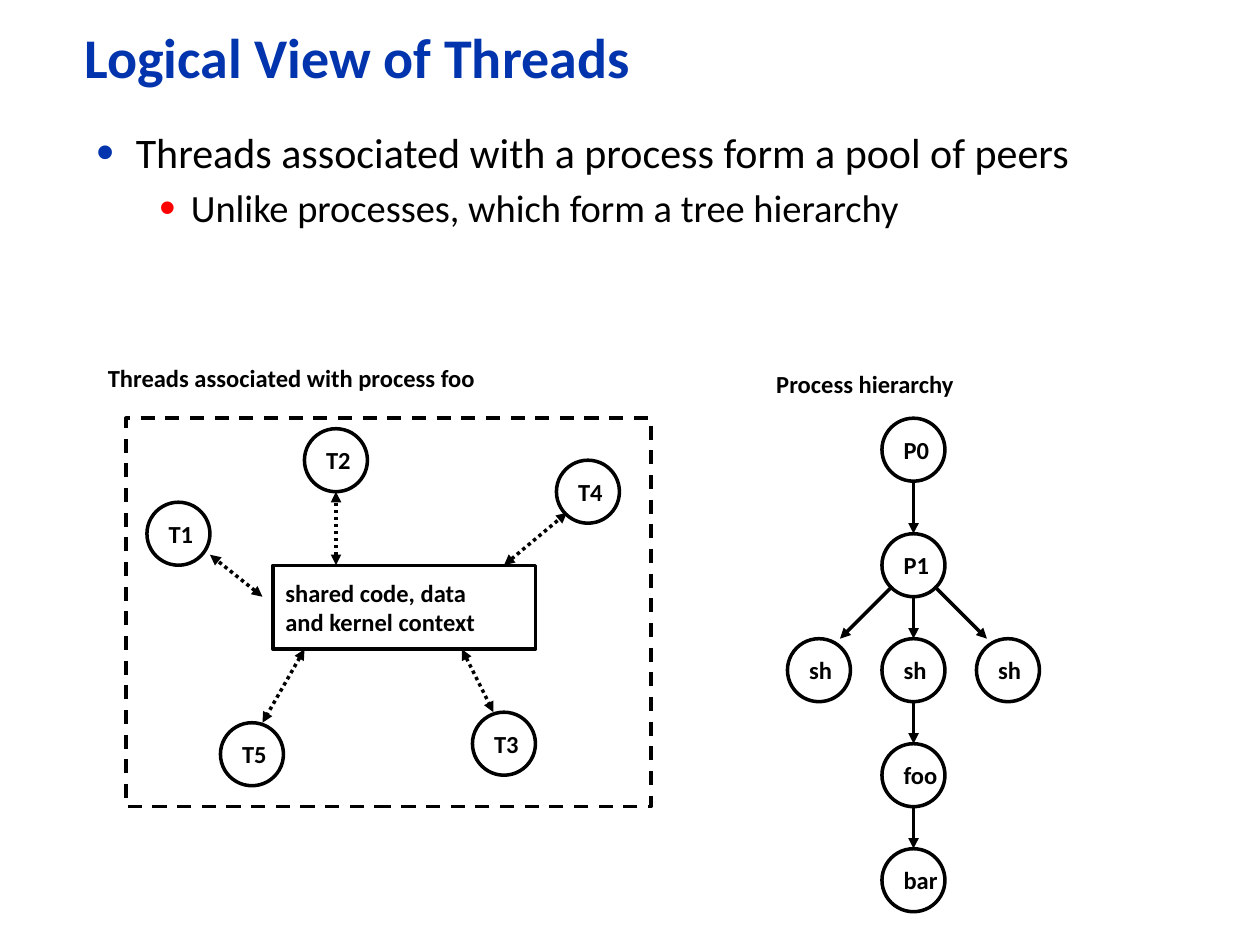
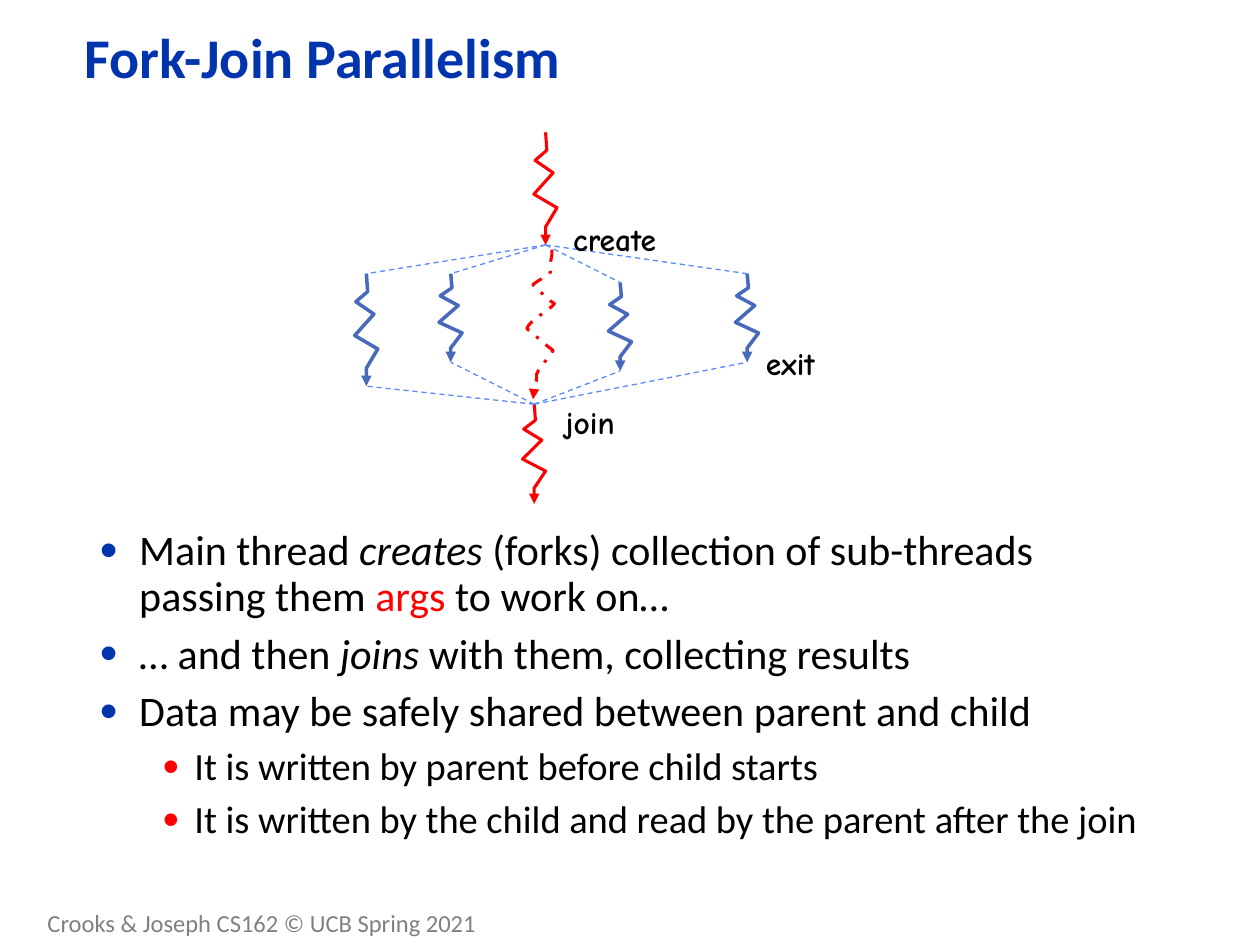
from dataclasses import dataclass
from typing import Any, NamedTuple, Optional

import lxml.etree
import pptx
import pptx.dml.color
import pptx.enum.dml
import pptx.enum.shapes
import pptx.enum.text
import pptx.oxml.ns
import pptx.util

Pt = pptx.util.Pt
qn = pptx.oxml.ns.qn
DASH = pptx.enum.dml.MSO_LINE
SHAPE = pptx.enum.shapes.MSO_SHAPE
MIDDLE = pptx.enum.text.MSO_ANCHOR.MIDDLE
FIT = pptx.enum.text.MSO_AUTO_SIZE

COLORS = {
    "title": "0234AD",
    "text": "000000",
    "accent": "FF0000",
    "paper": "FFFFFF",
    "child": "486ABB",
    "fan": "5B8AFB",
    "footer": "808080",
}


class Box(NamedTuple):
    x: float
    y: float
    w: float
    h: float


class Run(NamedTuple):
    text: str
    italic: bool = False
    color: str = "text"


class Bullet(NamedTuple):
    runs: list[Run]
    level: int = 0


class Level(NamedTuple):
    size: float
    margin: float
    hang: float
    color: str


@dataclass(frozen=True)
class TextStyle:
    size: float
    color: str = "text"
    font: str = "Calibri"
    bold: bool = False


@dataclass(frozen=True)
class Stroke:
    color: str = "text"
    width: float = 2
    dash: Optional[Any] = None
    head: bool = False
    tail: bool = False


class Node(NamedTuple):
    text: str
    x: float
    y: float


class Link(NamedTuple):
    x1: float
    y1: float
    x2: float
    y2: float


class Thread(NamedTuple):
    x: float
    top: float
    height: float


LEVELS = [Level(24, 22.5, 22.5, "title"), Level(22, 54, 18, "accent")]
TITLE = TextStyle(32, "title", bold=True)
LABEL = TextStyle(14, bold=True)
SKETCH = TextStyle(18, font="Comic Neue", bold=True)
FOOTER = TextStyle(14, "footer")

OUTLINE = Stroke()
FRAME = Stroke(dash=DASH.DASH)
CALL = Stroke(tail=True)
SHARE = Stroke(dash=DASH.ROUND_DOT, head=True, tail=True)
PARENT = Stroke("accent", 1.75, tail=True)
WAITING = Stroke("accent", 1.75, DASH.DASH_DOT, tail=True)
CHILD = Stroke("child", tail=True)
FAN = Stroke("fan", 0.75, DASH.DASH)

NODE = 36  # diameter of a circle
# Sideways offset in points, share of the height
ZIGZAG = [(0, 0), (0.7, 0.16), (-6, 0.25), (4.3, 0.36), (-6.7, 0.55),
          (6.5, 0.67), (0, 0.84), (0, 1)]


def rgb(name: str) -> Any:
    return pptx.dml.color.RGBColor.from_string(COLORS[name])


def assign(obj: Any, **values: Any) -> None:
    for name, value in values.items():
        setattr(obj, name, value)


def add_run(p: Any, text: str, style: TextStyle, italic: bool = False) -> None:
    r = p.add_run()
    r.text = text
    assign(r.font, size=Pt(style.size), name=style.font, bold=style.bold, italic=italic)
    r.font.color.rgb = rgb(style.color)


def write_lines(tf: Any, text: str, style: TextStyle) -> None:
    for i, line in enumerate(text.split("\n")):
        p = tf.add_paragraph() if i else tf.paragraphs[0]
        p.alignment = pptx.enum.text.PP_ALIGN.LEFT
        add_run(p, line, style)


def draw_line(sp: Any, stroke: Stroke) -> None:
    sp.line.color.rgb = rgb(stroke.color)
    sp.line.width = Pt(stroke.width)
    if stroke.dash is not None:
        sp.line.dash_style = stroke.dash
    ln = sp.line._get_or_add_ln()
    for tag, wanted in (("a:headEnd", stroke.head), ("a:tailEnd", stroke.tail)):
        if wanted:
            lxml.etree.SubElement(ln, qn(tag)).set("type", "triangle")


def add_link(s: Any, link: Link, stroke: Stroke) -> None:
    kind = pptx.enum.shapes.MSO_CONNECTOR.STRAIGHT
    sp = s.shapes.add_connector(kind, *(Pt(v) for v in link))
    draw_line(sp, stroke)
    lxml.etree.SubElement(sp._element.spPr, qn("a:effectLst"))


def add_outlined(s: Any, kind: Any, box: Box, stroke: Stroke, text: str = "") -> None:
    sp = s.shapes.add_shape(kind, *(Pt(v) for v in box))
    sp.shadow.inherit = False
    draw_line(sp, stroke)
    if not text:
        sp.fill.background()
        return
    sp.fill.solid()
    sp.fill.fore_color.rgb = rgb("paper")
    assign(sp.text_frame, word_wrap=False, vertical_anchor=MIDDLE)
    write_lines(sp.text_frame, text, LABEL)


def add_node(s: Any, node: Node) -> None:
    add_outlined(s, SHAPE.OVAL, Box(node.x, node.y, NODE, NODE), OUTLINE, node.text)


def add_label(s: Any, text: str, box: Box, style: TextStyle) -> None:
    tf = s.shapes.add_textbox(*(Pt(v) for v in box)).text_frame
    assign(tf, word_wrap=False, auto_size=FIT.SHAPE_TO_FIT_TEXT)
    write_lines(tf, text, style)


def add_path(s: Any, points: list[tuple[float, float]], stroke: Stroke) -> Any:
    start, *rest = [(Pt(x), Pt(y)) for x, y in points]
    builder = s.shapes.build_freeform(*start)
    builder.add_line_segments(rest, close=False)
    sp = builder.convert_to_shape()
    sp.shadow.inherit = False
    sp.fill.background()
    draw_line(sp, stroke)
    return sp


def add_zigzag(s: Any, thread: Thread, stroke: Stroke) -> None:
    points = [(thread.x + dx, thread.top + part * thread.height) for dx, part in ZIGZAG]
    add_path(s, points, stroke)


def add_curve(s: Any, points: list[tuple[float, float]], stroke: Stroke) -> None:
    """Draw a start point followed by Bézier triples."""
    sp = add_path(s, points, stroke)
    segments = list(sp._element.iter(qn("a:lnTo")))
    for i in range(0, len(segments), 3):
        curve = lxml.etree.Element(qn("a:cubicBezTo"))
        segments[i].addprevious(curve)
        for segment in segments[i:i + 3]:
            curve.append(segment[0])
            segment.getparent().remove(segment)


def add_bullets(s: Any, box: Box, bullets: list[Bullet]) -> None:
    tf = s.shapes.add_textbox(*(Pt(v) for v in box)).text_frame
    tf.word_wrap = True
    for i, bullet in enumerate(bullets):
        level = LEVELS[bullet.level]
        p = tf.add_paragraph() if i else tf.paragraphs[0]
        assign(p, level=bullet.level, line_spacing=0.9,
               space_before=Pt(0.3 * level.size if i else 0))
        pPr = p._p.get_or_add_pPr()
        pPr.set("marL", str(Pt(level.margin)))
        pPr.set("indent", str(-Pt(level.hang)))
        color = lxml.etree.SubElement(pPr, qn("a:buClr"))
        lxml.etree.SubElement(color, qn("a:srgbClr")).set("val", COLORS[level.color])
        for tag, key, value in (("a:buSzPct", "val", "120000"),
                                ("a:buFont", "typeface", "Arial"),
                                ("a:buChar", "char", "•")):
            lxml.etree.SubElement(pPr, qn(tag)).set(key, value)
        for run in bullet.runs:
            add_run(p, run.text, TextStyle(level.size, run.color), run.italic)


def add_titled_slide(prs: Any, title: str) -> Any:
    s = prs.slides.add_slide(prs.slide_layouts[5])
    sp = s.shapes.title
    assign(sp, left=Pt(41), top=Pt(13.5), width=Pt(564), height=Pt(42))
    assign(sp.text_frame, word_wrap=True, vertical_anchor=MIDDLE, auto_size=FIT.NONE)
    write_lines(sp.text_frame, title, TITLE)
    sp.text_frame.paragraphs[0].line_spacing = 0.9
    return s


def build_logical_view(prs: Any) -> None:
    s = add_titled_slide(prs, "Logical View of Threads")
    add_bullets(s, Box(48, 72, 624, 402), [
        Bullet([Run("Threads associated with a process form a pool of peers")]),
        Bullet([Run("Unlike processes, which form a tree hierarchy")], 1),
    ])

    add_label(s, "Process hierarchy", Box(436.5, 207.5, 116.5, 24.25), LABEL)
    trunk_x = 504
    trunk = [Node(text, trunk_x, y) for text, y in
             (("P0", 239), ("P1", 305), ("sh", 365), ("foo", 425), ("bar", 485))]
    for node in trunk:
        add_node(s, node)
    center = trunk_x + NODE / 2
    for upper, lower in zip(trunk, trunk[1:]):
        add_link(s, Link(center, upper.y + NODE, center, lower.y), CALL)
    for side in (-1, 1):
        add_node(s, Node("sh", trunk_x + side * 54, 365))
        add_link(s, Link(center + side * 12, 335, center + side * 42, 365), CALL)

    add_label(s, "Threads associated with process foo", Box(54.5, 204, 225.5, 24.25), LABEL)
    add_outlined(s, SHAPE.RECTANGLE, Box(72, 239, 300, 222), FRAME)
    for node in (Node("T1", 84, 287), Node("T2", 174, 245), Node("T3", 270, 407),
                 Node("T4", 318, 263), Node("T5", 126, 413)):
        add_node(s, node)
    add_outlined(s, SHAPE.RECTANGLE, Box(156, 323, 150, 48), OUTLINE,
                 "shared code, data\nand kernel context")
    for link in (Link(150, 341, 120, 317), Link(192, 323, 192, 281),
                 Link(264, 371, 282, 407), Link(288, 323, 324, 293),
                 Link(174, 371, 150, 413)):
        add_link(s, link, SHARE)


def build_fork_join(prs: Any) -> None:
    s = add_titled_slide(prs, "Fork-Join Parallelism")
    add_bullets(s, Box(50, 299, 620.5, 134), [
        Bullet([Run("Main thread "), Run("creates", italic=True),
                Run(" (forks) collection of sub-threads passing them "),
                Run("args", color="accent"), Run(" to work on…")]),
        Bullet([Run("… and then "), Run("joins", italic=True),
                Run(" with them, collecting results")]),
        Bullet([Run("Data may be safely shared between parent and child")]),
        Bullet([Run("It is written by parent before child starts")], 1),
        Bullet([Run("It is written by the child and read by the parent after the join")], 1),
    ])

    before = Thread(311.8, 75.6, 64.4)
    after = Thread(305.3, 231, 57)
    fork_y = before.top + before.height
    for thread in (before, after):
        add_zigzag(s, thread, PARENT)
    for child in (Thread(209.4, 156.4, 64.3), Thread(257.6, 156.4, 50.6),
                  Thread(354.4, 161.4, 50.6), Thread(427, 156.4, 50.6)):
        add_zigzag(s, child, CHILD)
        add_link(s, Link(before.x, fork_y, child.x, child.top), FAN)
        add_link(s, Link(after.x, after.top, child.x, child.top + child.height), FAN)
    add_curve(s, [
        (315.4, 142.6),
        (316.1, 146.9), (313.2, 151.2), (314.6, 155.5),
        (311.8, 158.4), (306.7, 160.6), (304.6, 162.7),
        (309.6, 167), (311, 169.9), (316.8, 173.5),
        (314.6, 177.1), (302.4, 182.9), (301, 187.9),
        (304.6, 190.1), (309.6, 195.8), (316.1, 200.2),
        (312.5, 206.6), (308.9, 208.1), (306.7, 213.8),
        (306.7, 220.3), (303.8, 223.9), (304.6, 228.2),
    ], WAITING)
    for text, x, y, w in (("create", 320.4, 122.4, 72), ("exit", 430.6, 193, 49),
                          ("join", 316, 226.8, 46)):
        add_label(s, text, Box(x, y, w, 29), SKETCH)
    add_label(s, "Crooks & Joseph CS162 © UCB Spring 2021", Box(20, 515.5, 261.5, 24.25), FOOTER)


def main() -> None:
    prs = pptx.Presentation()
    assign(prs, slide_width=Pt(720), slide_height=Pt(540))
    build_logical_view(prs)
    build_fork_join(prs)
    prs.save("out.pptx")


if __name__ == "__main__":
    main()
